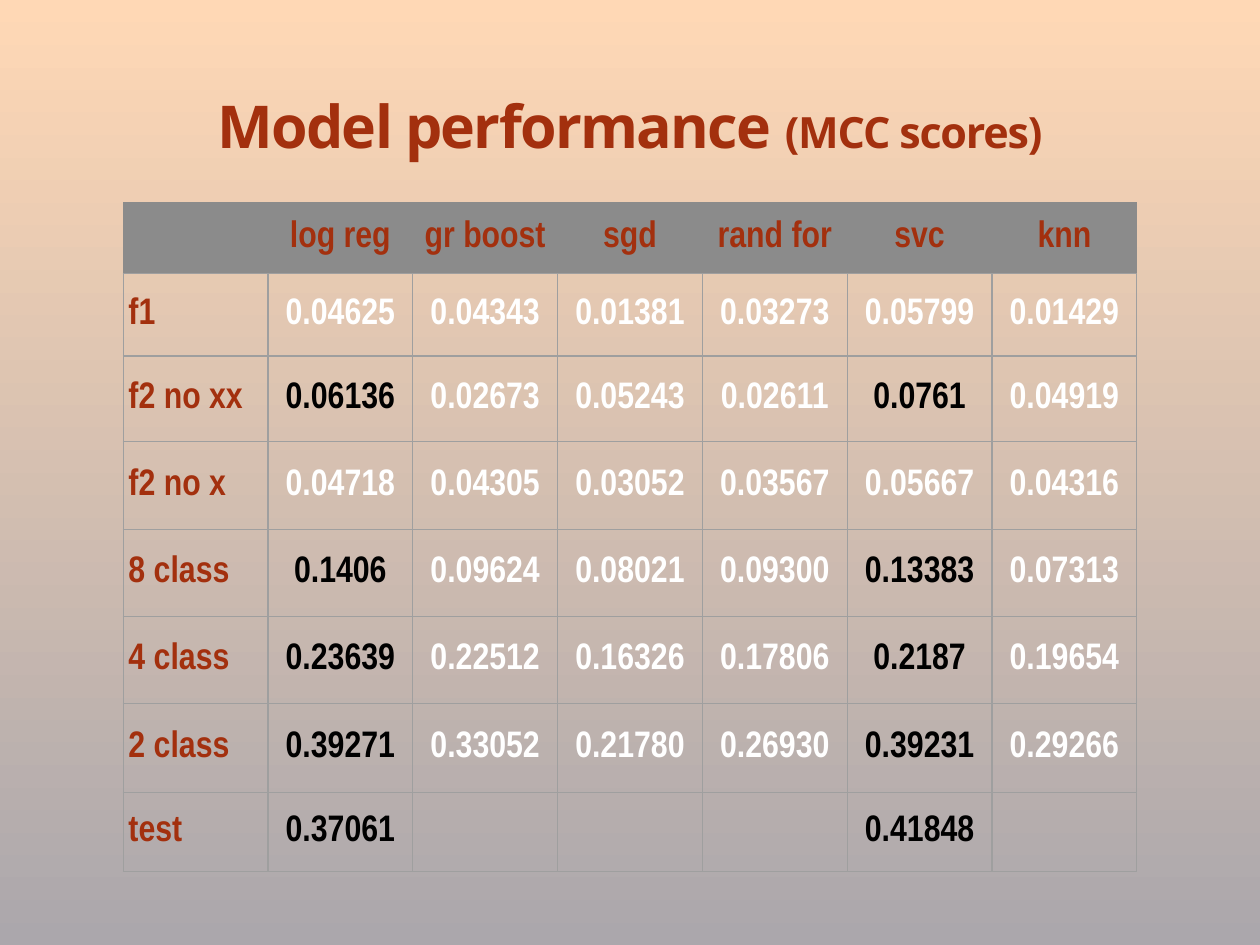
from lxml.etree import SubElement
from pptx import Presentation
from pptx.dml.color import RGBColor
from pptx.enum.text import MSO_ANCHOR, PP_ALIGN
from pptx.oxml.ns import qn
from pptx.util import Inches, Pt

WIDE, HIGH = Inches(14.22), Inches(10.67)
LEFT, SPAN = Inches(1.39), Inches(11.44)
PAD = Inches(0.06)
HUES = {
    "top": "FFD8B5", "base": "ABA7AC", "rust": "A3300E", "head": "8B8B8B",
    "rule": "9F9F9F", "plain": "FFFFFF", "best": "000000",
}
ROWS = [
    (0.81, ["", "log reg", "gr boost", "sgd", "rand for", "svc", "knn"]),
    (0.93, ["f1", "0.04625", "0.04343", "0.01381", "0.03273", "0.05799", "0.01429"]),
    (0.97, ["f2 no xx", "0.06136", "0.02673", "0.05243", "0.02611", "0.0761", "0.04919"]),
    (0.99, ["f2 no x", "0.04718", "0.04305", "0.03052", "0.03567", "0.05667", "0.04316"]),
    (0.98, ["8 class", "0.1406", "0.09624", "0.08021", "0.09300", "0.13383", "0.07313"]),
    (0.98, ["4 class", "0.23639", "0.22512", "0.16326", "0.17806", "0.2187", "0.19654"]),
    (1.01, ["2 class", "0.39271", "0.33052", "0.21780", "0.26930", "0.39231", "0.29266"]),
    (0.89, ["test", "0.37061", "", "", "", "0.41848", ""]),
]
BEST_ROWS = {"f2 no xx", "8 class", "4 class", "2 class", "test"}
BEST_COLS = {"log reg", "svc"}


def hue(name):
    return RGBColor.from_string(HUES[name])


def set_font(para, face, tone):
    para.font.name = face
    para.font.bold = True
    para.font.color.rgb = hue(tone)


def pad(item):
    item.margin_left = item.margin_right = PAD
    item.margin_top = item.margin_bottom = PAD
    item.vertical_anchor = MSO_ANCHOR.MIDDLE


def paint_back(slide):
    fill = slide.background.fill
    fill.gradient()
    fill.gradient_angle = 270
    for stop, tone, place in zip(fill.gradient_stops, ("top", "base"), (0, 1)):
        stop.color.rgb = hue(tone)
        stop.position = place


def add_title(slide, parts):
    frame = slide.shapes.add_textbox(LEFT, Inches(0.92), SPAN, Inches(0.98)).text_frame
    frame.word_wrap = True
    pad(frame)
    para = frame.paragraphs[0]
    para.alignment = PP_ALIGN.CENTER
    set_font(para, "Noto Sans", "rust")
    for text, size, gap in parts:
        run = para.add_run()
        run.text = text
        run.font.size = Pt(size)
        run.font._element.set("spc", str(gap))


def rule_cell(cell, sides):
    props = cell._tc.get_or_add_tcPr()
    for side in "LRTB":
        line = SubElement(props, qn(f"a:ln{side}"), w=str(Pt(1)))
        if side in sides:
            fill = SubElement(line, qn("a:solidFill"))
            SubElement(fill, qn("a:srgbClr"), val=HUES["rule"])
        else:
            SubElement(line, qn("a:noFill"))


def fill_cell(cell, text, head, side, tone):
    pad(cell)
    rule_cell(cell, "B" if head else "LRTB")
    if head:
        cell.fill.solid()
        cell.fill.fore_color.rgb = hue("head")
    else:
        cell.fill.background()
    para = cell.text_frame.paragraphs[0]
    para.text = text
    para.alignment = PP_ALIGN.LEFT if side else PP_ALIGN.CENTER
    set_font(para, "Arial Narrow", tone)
    para.font.size = Pt(30)


def pick_tone(row, col):
    if not row or not col:
        return "rust"
    return "best" if row in BEST_ROWS and col in BEST_COLS else "plain"


def add_scores(slide):
    names = ROWS[0][1]
    tall = Inches(sum(high for high, _ in ROWS))
    table = slide.shapes.add_table(
        len(ROWS), len(names), LEFT, Inches(2.28), SPAN, tall).table
    table.first_row = table.horz_banding = False
    for y, (high, texts) in enumerate(ROWS):
        table.rows[y].height = Inches(high)
        for x, text in enumerate(texts):
            tone = pick_tone(texts[0], names[x])
            fill_cell(table.cell(y, x), text, y == 0, x == 0, tone)


def main():
    deck = Presentation()
    deck.slide_width, deck.slide_height = WIDE, HIGH
    slide = deck.slides.add_slide(deck.slide_layouts[6])
    paint_back(slide)
    add_title(slide, [("Model performance ", 48, -140), ("(MCC scores)", 35, -100)])
    add_scores(slide)
    deck.save("out.pptx")


if __name__ == "__main__":
    main()
